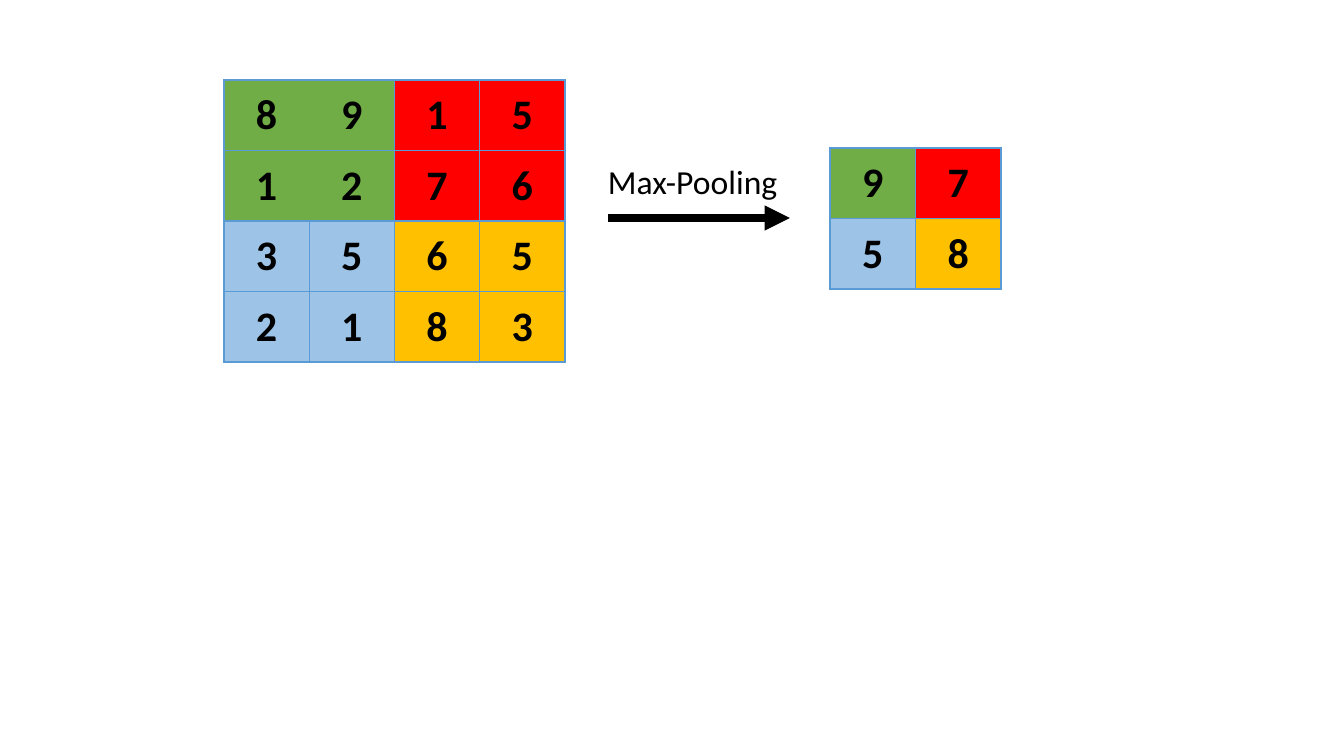
from pptx import Presentation
from pptx.dml.color import RGBColor
from pptx.enum.shapes import MSO_CONNECTOR
from pptx.enum.text import MSO_ANCHOR, MSO_AUTO_SIZE, PP_ALIGN
from pptx.oxml.ns import qn
from pptx.util import Emu, Inches, Pt
from lxml.etree import SubElement

PIXEL = Inches(1) / 100.8
FONT = "Calibri"
BLACK = RGBColor(0x00, 0x00, 0x00)
GREEN = RGBColor(0x70, 0xAD, 0x47)
RED = RGBColor(0xFF, 0x00, 0x00)
BLUE = RGBColor(0x9D, 0xC3, 0xE6)
AMBER = RGBColor(0xFF, 0xC0, 0x00)
BORDER = RGBColor(0x5B, 0x9B, 0xD5)
QUADRANTS = [[GREEN, RED], [BLUE, AMBER]]
INPUT = [[8, 9, 1, 5], [1, 2, 7, 6], [3, 5, 6, 5], [2, 1, 8, 3]]
POOLED = [[9, 7], [5, 8]]


def px(*lengths):
    """Turn pixel lengths into EMU."""
    return [Emu(round(length * PIXEL)) for length in lengths]


def add_text(para, text, size, bold=False):
    """Add one black run to a paragraph."""
    span = para.add_run()
    span.text = text
    span.font.name = FONT
    span.font.size = Pt(size)
    span.font.bold = bold
    span.font.color.rgb = BLACK


def set_borders(cell, open_sides):
    """Draw thin borders on a cell, leaving the open sides unlined."""
    properties = cell._tc.get_or_add_tcPr()
    for side in "LRTB":
        line = SubElement(properties, qn(f"a:ln{side}"), w=str(Pt(1)))
        if side in open_sides:
            SubElement(line, qn("a:noFill"))
        else:
            fill = SubElement(line, qn("a:solidFill"))
            SubElement(fill, qn("a:srgbClr"), val=str(BORDER))


def add_matrix(page, values, left, top, width, height, open_sides=None):
    """Add a square matrix whose quadrants have their own colours."""
    count = len(values)
    table = page.shapes.add_table(count, count, *px(left, top, width, height)).table
    table.first_row = False
    table.horz_banding = False
    for row, numbers in enumerate(values):
        for column, number in enumerate(numbers):
            cell = table.cell(row, column)
            set_borders(cell, (open_sides or {}).get((row, column), ""))
            cell.fill.solid()
            cell.fill.fore_color.rgb = QUADRANTS[row * 2 // count][column * 2 // count]
            cell.vertical_anchor = MSO_ANCHOR.MIDDLE
            para = cell.text_frame.paragraphs[0]
            para.alignment = PP_ALIGN.CENTER
            add_text(para, str(number), 30, bold=True)


def add_arrow(page, left, right, height):
    """Add a thick horizontal arrow pointing right."""
    arrow = page.shapes.add_connector(
        MSO_CONNECTOR.STRAIGHT, *px(left, height, right, height))
    arrow.line.color.rgb = BLACK
    arrow.line.width = Pt(6)
    SubElement(arrow.line._get_or_add_ln(), qn("a:tailEnd"), type="triangle")
    SubElement(arrow._element.spPr, qn("a:effectLst"))


def add_label(page, text, left, top, width, height):
    """Add a plain text label."""
    box = page.shapes.add_textbox(*px(left, top, width, height))
    box.text_frame.word_wrap = True
    box.text_frame.auto_size = MSO_AUTO_SIZE.SHAPE_TO_FIT_TEXT
    add_text(box.text_frame.paragraphs[0], text, 24)


def main():
    """Build the max-pooling slide."""
    deck = Presentation()
    deck.slide_width, deck.slide_height = px(1344, 756)
    page = deck.slides.add_slide(deck.slide_layouts[6])
    green_joins = {(row, column): "RL"[column] for row in range(2) for column in range(2)}
    add_matrix(page, INPUT, 224, 80, 341, 282, green_joins)
    add_arrow(page, 608, 790, 218)
    add_matrix(page, POOLED, 830, 148, 171, 141)
    add_label(page, "Max-Pooling", 598, 156, 210, 50)
    deck.save("out.pptx")


main()
